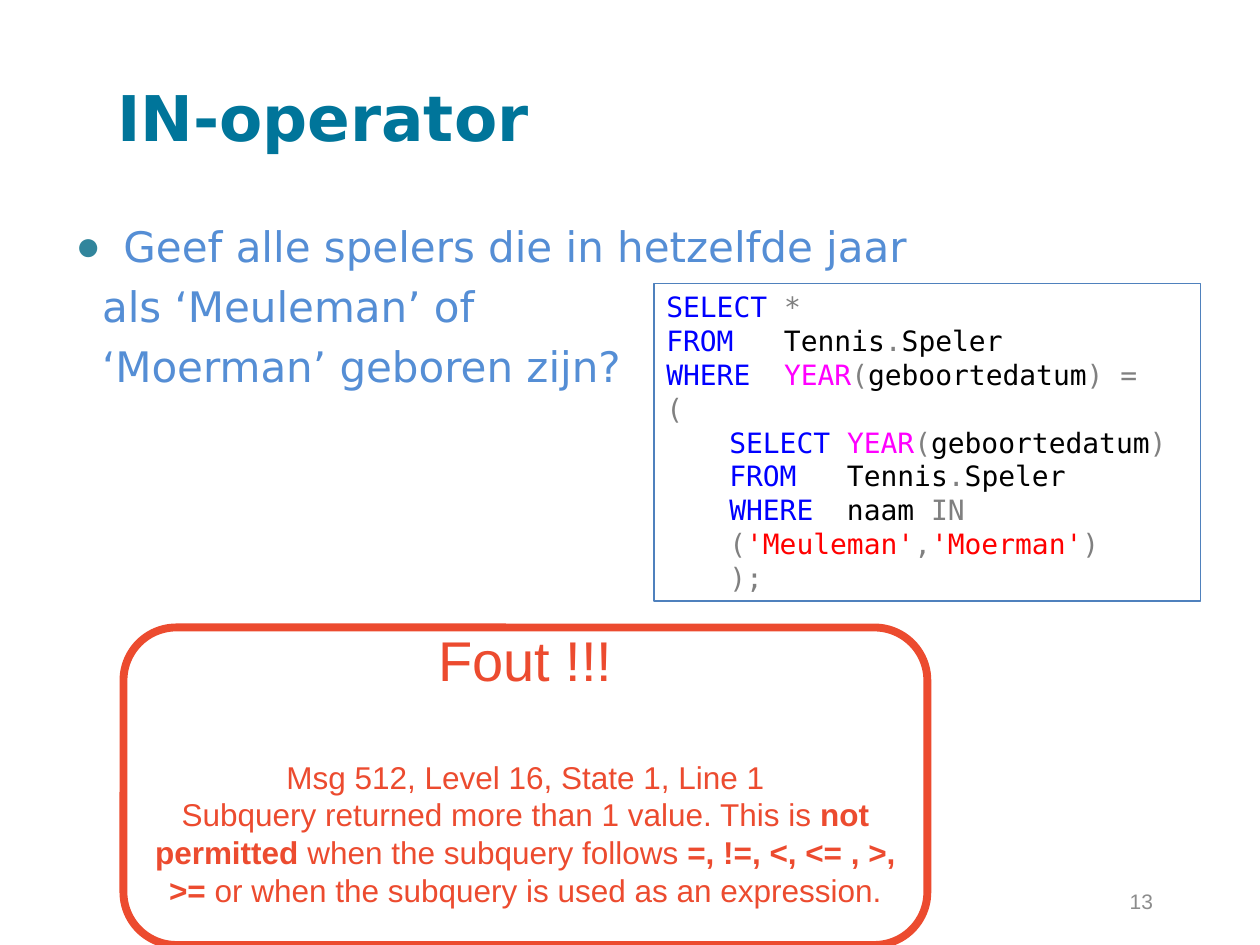
from lxml import etree
from pptx import Presentation
from pptx.dml.color import RGBColor
from pptx.enum.shapes import MSO_SHAPE
from pptx.enum.text import MSO_ANCHOR, PP_ALIGN
from pptx.oxml.ns import qn
from pptx.util import Inches, Pt

LEFT, CENTER, RIGHT = PP_ALIGN.LEFT, PP_ALIGN.CENTER, PP_ALIGN.RIGHT
TOP, MIDDLE = MSO_ANCHOR.TOP, MSO_ANCHOR.MIDDLE
RECTANGLE, ROUNDED = MSO_SHAPE.RECTANGLE, MSO_SHAPE.ROUNDED_RECTANGLE
WIDTH, HEIGHT = Inches(10), Inches(7.5)
COLUMNS, ROWS = 100, 75
SANS, MONO, ARIAL = "DejaVu Sans", "DejaVu Sans Mono", "Arial"
COLORS = {
    "title": "00759A", "body": "558ED5", "bullet": "31859C", "number": "8C8C8C",
    "error": "EC4B2F", "frame": "4F81BD", "keyword": "0000FF", "function": "FF00FF",
    "string": "FF0000", "symbol": "808080", "plain": "000000",
}

QUESTION = ["Geef alle spelers die in hetzelfde jaar", "als ‘Meuleman’ of",
            "‘Moerman’ geboren zijn?"]
FROM_LINE = [("FROM", "keyword"), ("   Tennis", "plain"), (".", "symbol"), ("Speler", "plain")]
YEAR_CALL = [("YEAR", "function"), ("(", "symbol"), ("geboortedatum", "plain"), (")", "symbol")]
OUTER_QUERY = [
    [("SELECT ", "keyword"), ("*", "symbol")],
    FROM_LINE,
    [("WHERE  ", "keyword"), *YEAR_CALL, (" =", "symbol")],
    [("(", "symbol")],
]
INNER_QUERY = [
    [("SELECT ", "keyword"), *YEAR_CALL],
    FROM_LINE,
    [("WHERE", "keyword"), ("  naam ", "plain"), ("IN (", "symbol"), ("'Meuleman'", "string"),
     (",", "symbol"), ("'Moerman'", "string"), (")", "symbol")],
    [(");", "symbol")],
]
ERROR_DETAIL = [
    ("Subquery returned more than 1 value. This is ", False),
    ("not permitted ", True),
    ("when the subquery follows ", False),
    ("=, !=, <, <= , >, >=", True),
    (" or when the subquery is used as an expression.", False),
]


def set_values(target, values):
    """Set each attribute in a dict of format values."""
    for name, value in values.items():
        setattr(target, name, value)


def grid_box(column, row, columns, rows):
    """Turn grid columns and rows into left, top, width and height."""
    return (round(WIDTH * column / COLUMNS), round(HEIGHT * row / ROWS),
            round(WIDTH * columns / COLUMNS), round(HEIGHT * rows / ROWS))


def place(shape, box):
    """Move a placeholder to a grid box."""
    set_values(shape, dict(zip(("left", "top", "width", "height"), grid_box(*box))))


def add_run(paragraph, text, color, size, font, bold=False):
    """Add one formatted run."""
    run = paragraph.add_run()
    run.text = text
    set_values(run.font, {"size": Pt(size), "name": font, "bold": bold})
    run.font.color.rgb = RGBColor.from_string(COLORS[color])


def next_paragraph(frame, **values):
    """Return the unused first paragraph or a new one, with its format."""
    first = frame.paragraphs[0]
    paragraph = frame.add_paragraph() if first.runs else first
    set_values(paragraph, values)
    return paragraph


def set_bullet(paragraph, margin, indent, character=None):
    """Set the indents and the bullet of a paragraph."""
    properties = paragraph._p.get_or_add_pPr()
    properties.set("marL", str(Inches(margin)))
    properties.set("indent", str(Inches(indent)))
    if character is None:
        etree.SubElement(properties, qn("a:buNone"))
        return
    color = etree.SubElement(properties, qn("a:buClr"))
    etree.SubElement(color, qn("a:srgbClr"), val=COLORS["bullet"])
    etree.SubElement(properties, qn("a:buChar"), char=character)


def add_outline(slide, kind, box, color, width, anchor):
    """Add an unfilled outlined shape and return its text frame."""
    shape = slide.shapes.add_shape(kind, *grid_box(*box))
    shape.shadow.inherit = False
    shape.fill.background()
    shape.line.color.rgb = RGBColor.from_string(COLORS[color])
    shape.line.width = Pt(width)
    set_values(shape.text_frame, {"word_wrap": True, "vertical_anchor": anchor})
    return shape.text_frame


def fill_title(slide):
    """Write the slide title."""
    title = slide.shapes.title
    place(title, (8.3, 3, 86.7, 12.5))
    title.text_frame.vertical_anchor = MIDDLE
    paragraph = next_paragraph(title.text_frame, alignment=LEFT)
    add_run(paragraph, "IN-operator", "title", 36, SANS, True)


def fill_question(slide):
    """Write the question as one bullet with two continuation lines."""
    body = slide.placeholders[1]
    place(body, (5, 17, 95, 43.3))
    for index, line in enumerate(QUESTION):
        paragraph = next_paragraph(body.text_frame, space_before=Pt(5.6))
        if index == 0:
            set_bullet(paragraph, 0.38, -0.38, "●")
        else:
            set_bullet(paragraph, 0.21, 0)
        add_run(paragraph, line, "body", 24, SANS)


def add_number(slide):
    """Add the slide number."""
    frame = slide.shapes.add_textbox(*grid_box(69.2, 69.5, 23.3, 4)).text_frame
    set_values(frame, {"word_wrap": True, "vertical_anchor": MIDDLE})
    add_run(next_paragraph(frame, alignment=RIGHT), "13", "number", 12, ARIAL)


def add_error(slide):
    """Add the rounded box with the error message."""
    frame = add_outline(slide, ROUNDED, (9.8, 49.8, 63.8, 25.2), "error", 4.5, MIDDLE)
    set_values(frame, {"margin_top": 0, "margin_bottom": Inches(0.3)})
    heading = next_paragraph(frame, alignment=CENTER, space_after=Pt(36.8))
    add_run(heading, "Fout !!!", "error", 32, ARIAL)
    message = next_paragraph(frame, alignment=CENTER)
    add_run(message, "Msg 512, Level 16, State 1, Line 1", "error", 18, ARIAL)
    detail = next_paragraph(frame, alignment=CENTER)
    for text, bold in ERROR_DETAIL:
        add_run(detail, text, "error", 18, ARIAL, bold)


def add_query(slide):
    """Add the framed query with its indented subquery."""
    frame = add_outline(slide, RECTANGLE, (51.9, 22.5, 43.4, 25.2), "frame", 0.75, TOP)
    for lines, margin in ((OUTER_QUERY, 0), (INNER_QUERY, 0.5)):
        for line in lines:
            paragraph = next_paragraph(frame, alignment=LEFT, line_spacing=Pt(19.3))
            set_bullet(paragraph, margin, 0)
            for text, color in line:
                add_run(paragraph, text, color, 16, MONO)


def main():
    """Build and save the slide."""
    presentation = Presentation()
    set_values(presentation, {"slide_width": WIDTH, "slide_height": HEIGHT})
    slide = presentation.slides.add_slide(presentation.slide_layouts[1])
    for build in (fill_title, fill_question, add_number, add_error, add_query):
        build(slide)
    presentation.save("out.pptx")


if __name__ == "__main__":
    main()
